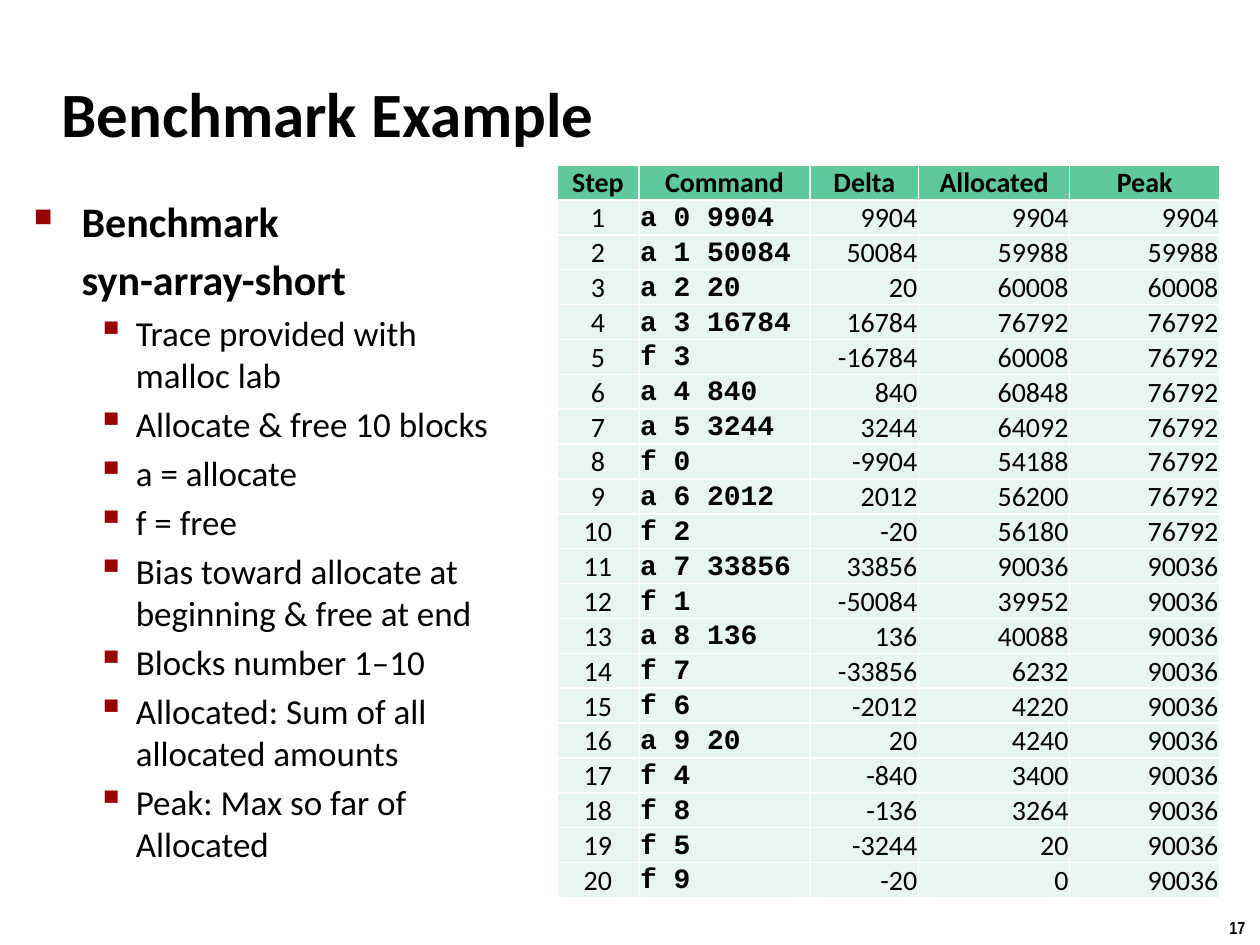
import pptx
import pptx.dml.color
import pptx.enum.text
import pptx.oxml
import pptx.oxml.ns
import pptx.util
from dataclasses import dataclass

Inches, Pt = pptx.util.Inches, pptx.util.Pt
RGB = pptx.dml.color.RGBColor.from_string
ALIGN, ANCHOR = pptx.enum.text.PP_ALIGN, pptx.enum.text.MSO_ANCHOR


@dataclass(frozen=True)
class Theme:
    ink: str = "000000"
    bullet: str = "990000"
    header: str = "60C99C"
    row: str = "E7F6EF"
    border: str = "FFFFFF"
    sans: str = "Calibri"
    mono: str = "Courier New"
    narrow: str = "Arial Narrow"
    title_size: int = 36
    topic_size: int = 24
    point_size: int = 20
    cell_size: int = 16
    number_size: int = 10


theme = Theme()


def write(paragraph, text, size, bold=False, font=theme.sans, **formats):
    paragraph.text = text
    font_formats = {"size": Pt(size), "bold": bold, "name": font}
    for name, value in font_formats.items():
        setattr(paragraph.font, name, value)
    paragraph.font.color.rgb = RGB(theme.ink)
    for name, value in formats.items():
        setattr(paragraph, name, value)


def add_text_frame(left, top, width, height, **formats):
    box = slide.shapes.add_textbox(*map(Inches, (left, top, width, height)))
    for name, value in formats.items():
        setattr(box.text_frame, name, value)
    return box.text_frame


deck = pptx.Presentation()
deck.slide_width, deck.slide_height = Inches(10), Inches(7.5)
slide = deck.slides.add_slide(deck.slide_layouts[6])

# Slide number and title
number = add_text_frame(9.66, 7.23, 0.34, 0.27, word_wrap=False)
write(number.paragraphs[0], "17", theme.number_size, True, theme.narrow)

title = add_text_frame(0.39, 0.48, 8.3, 0.83, word_wrap=True,
                       vertical_anchor=ANCHOR.MIDDLE)
write(title.paragraphs[0], "Benchmark Example", theme.title_size, True)

# Outline: text, level, bullet character, bullet size in percent
points = [
    "Trace provided with malloc lab",
    "Allocate & free 10 blocks",
    "a = allocate",
    "f = free",
    "Bias toward allocate at beginning & free at end",
    "Blocks number 1–10",
    "Allocated: Sum of all allocated amounts",
    "Peak: Max so far of Allocated",
]
outline = [("Benchmark", 0, "■", 60), ("syn-array-short", 0, None, None)]
outline += [(point, 1, "▪", 110) for point in points]
levels = [(theme.topic_size, True, 0.38, -0.38),
          (theme.point_size, False, 0.81, -0.31)]

body = add_text_frame(0.17, 1.5, 3.9, 5.44, word_wrap=True)
for index, (text, level, mark, percent) in enumerate(outline):
    size, bold, margin, indent = levels[level]
    paragraph = body.add_paragraph() if index else body.paragraphs[0]
    properties = paragraph._p.get_or_add_pPr()
    properties.set("marL", str(Inches(margin)))
    properties.set("indent", str(Inches(indent) if mark else 0))
    if mark:
        for xml in (
            f'<a:buClr %s><a:srgbClr val="{theme.bullet}"/></a:buClr>',
            f'<a:buSzPct %s val="{percent * 1000}"/>',
            f'<a:buChar %s char="{mark}"/>',
        ):
            properties.append(pptx.oxml.parse_xml(xml % pptx.oxml.ns.nsdecls("a")))
    write(paragraph, text, size, bold, level=level,
          space_before=Pt(size * 0.2 if index else 0))

# Trace: replay the commands to get the running totals
commands = [
    "a 0 9904", "a 1 50084", "a 2 20", "a 3 16784", "f 3",
    "a 4 840", "a 5 3244", "f 0", "a 6 2012", "f 2",
    "a 7 33856", "f 1", "a 8 136", "f 7", "f 6",
    "a 9 20", "f 4", "f 8", "f 5", "f 9",
]
trace = [("Step", "Command", "Delta", "Allocated", "Peak")]
block_sizes, allocated, peak = {}, 0, 0
for step, command in enumerate(commands, 1):
    action, block, *amount = command.split()
    if action == "a":
        delta = block_sizes[block] = int(amount[0])
    else:
        delta = -block_sizes[block]
    allocated += delta
    peak = max(peak, allocated)
    trace.append((step, command, delta, allocated, peak))

column_widths = [0.65, 1.36, 0.86, 1.2, 1.19]
column_aligns = [ALIGN.CENTER, ALIGN.LEFT] + [ALIGN.RIGHT] * 3
table = slide.shapes.add_table(
    len(trace), len(column_widths),
    Inches(4.42), Inches(1.31), Inches(5.25), Inches(5.82)).table
table.horz_banding = False
for column, width in zip(table.columns, column_widths):
    column.width = Inches(width)

cell_formats = {
    "vertical_anchor": ANCHOR.BOTTOM,
    "margin_left": Inches(0.01), "margin_right": Inches(0.01),
    "margin_top": Inches(0.01), "margin_bottom": 0,
}
for row, entries in enumerate(trace):
    heading = row == 0
    for col, entry in enumerate(entries):
        cell = table.cell(row, col)
        for name, value in cell_formats.items():
            setattr(cell, name, value)
        cell.fill.solid()
        cell.fill.fore_color.rgb = RGB(theme.header if heading else theme.row)
        is_command = col == 1 and not heading
        write(cell.text_frame.paragraphs[0], str(entry), theme.cell_size,
              heading or is_command, theme.mono if is_command else theme.sans,
              alignment=ALIGN.CENTER if heading else column_aligns[col])
        for position, side in enumerate("LRTB"):
            cell._tc.get_or_add_tcPr().insert(position, pptx.oxml.parse_xml(
                f'<a:ln{side} {pptx.oxml.ns.nsdecls("a")} w="{Pt(1)}"><a:solidFill>'
                f'<a:srgbClr val="{theme.border}"/></a:solidFill></a:ln{side}>'))

deck.save("out.pptx")
